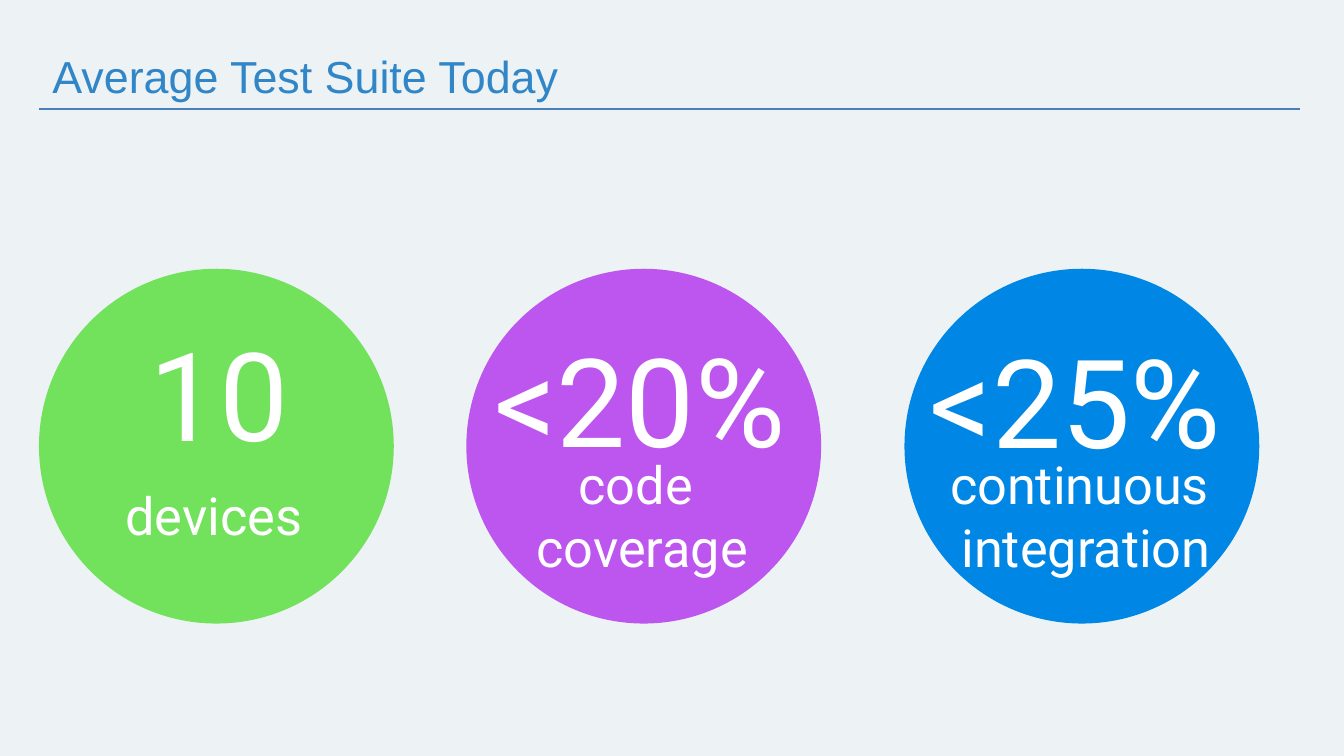
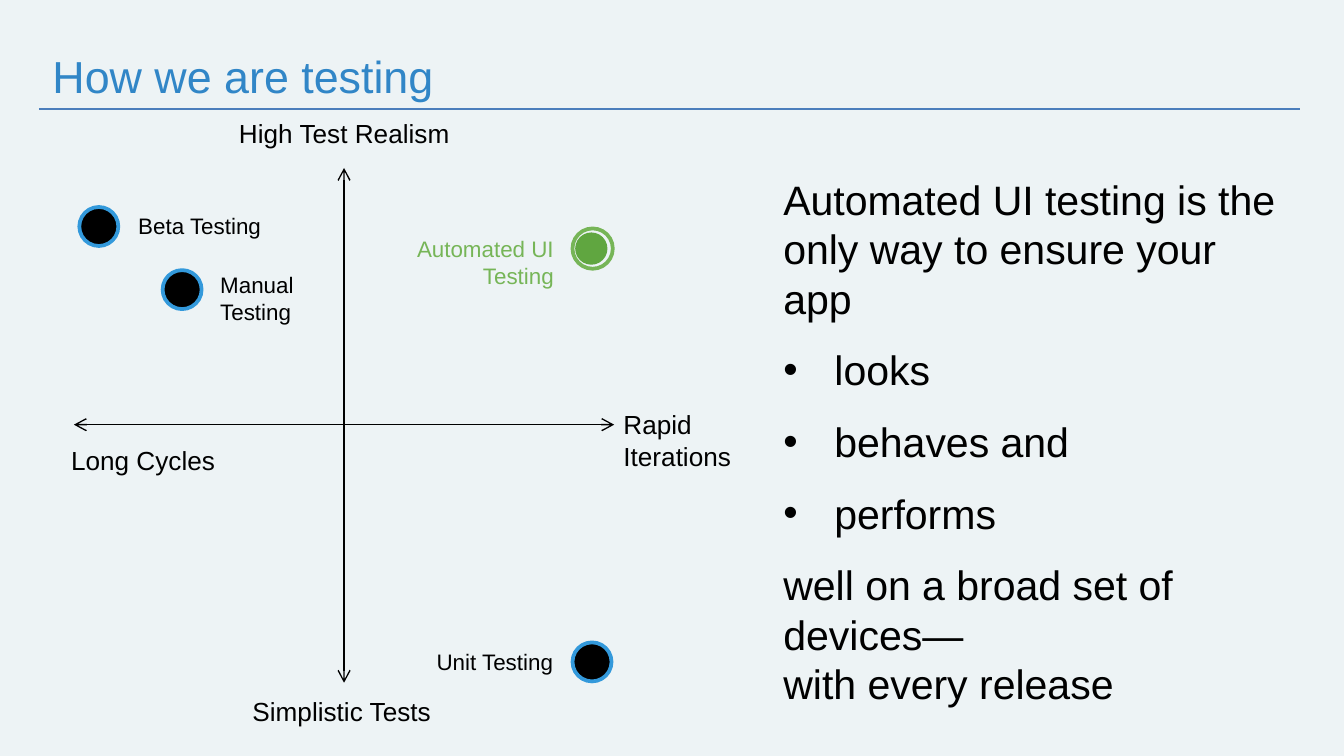
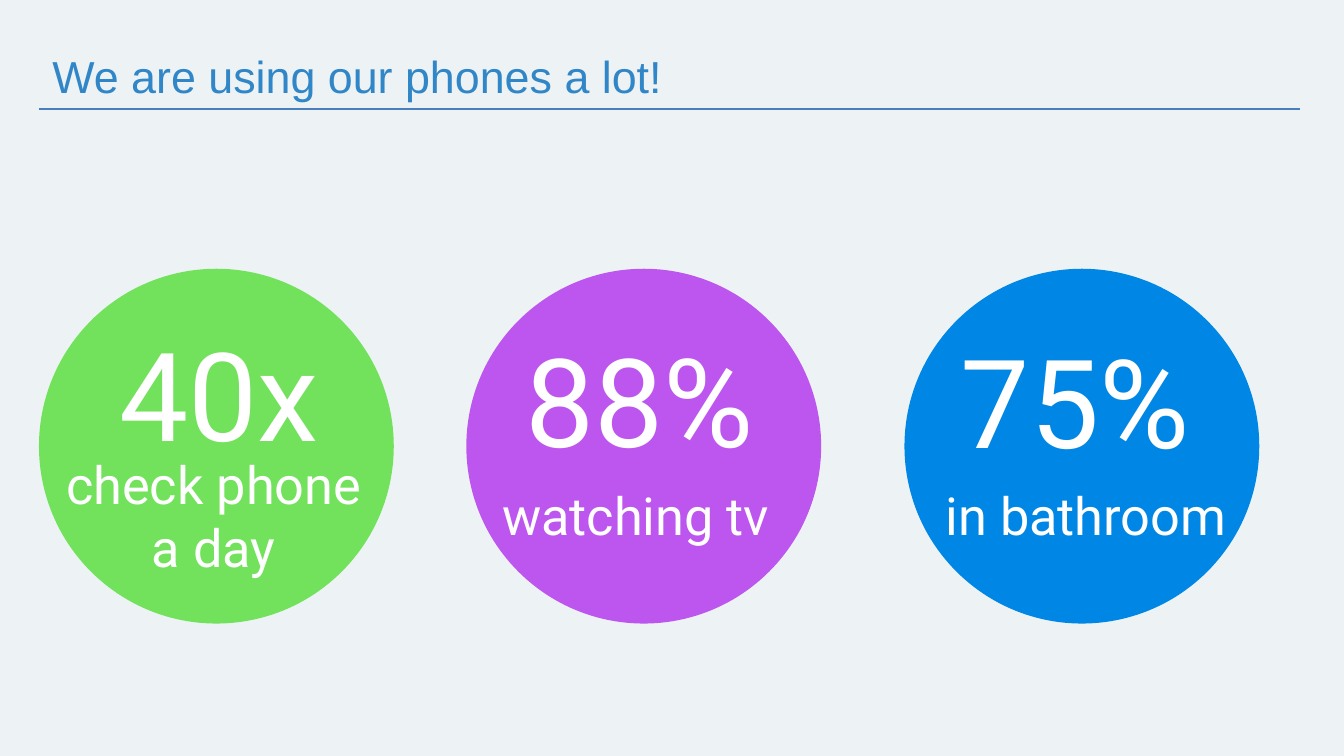
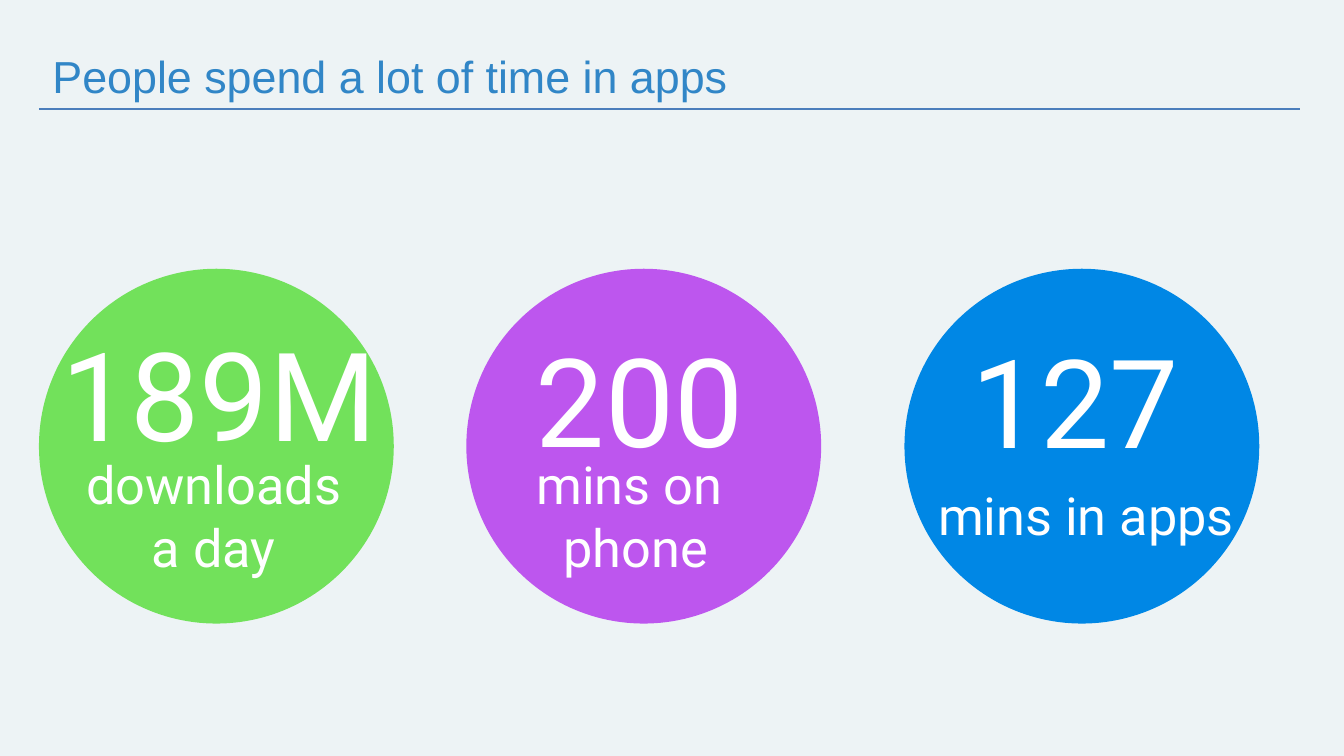
from lxml import etree
from pptx import Presentation
from pptx.dml.color import RGBColor
from pptx.enum.shapes import MSO_CONNECTOR, MSO_SHAPE
from pptx.enum.text import MSO_ANCHOR, PP_ALIGN
from pptx.oxml.ns import qn
from pptx.util import Inches, Pt

OVAL = MSO_SHAPE.OVAL
STRAIGHT = MSO_CONNECTOR.STRAIGHT
LEFT, CENTER, RIGHT = PP_ALIGN.LEFT, PP_ALIGN.CENTER, PP_ALIGN.RIGHT
TOP, MIDDLE, BOTTOM = MSO_ANCHOR.TOP, MSO_ANCHOR.MIDDLE, MSO_ANCHOR.BOTTOM

COLORS = {
    "background": "EDF3F5", "title": "3186C7", "rule": "4B7EBC",
    "text": "000000", "white": "FFFFFF",
    "green": "72E15B", "purple": "BD56EE", "blue": "0087E5",
    "dot_ring": "3399DB", "auto": "76B557", "auto_dot": "60A640",
}
SLIDE_W = 10
SLIDE_H = SLIDE_W * 9 / 16
MARGIN, RULE_Y, RULE_END = 0.29, 0.81, 9.67
SANS, STAT_FONT = "Arial", "Roboto"

CIRCLE_TOP, CIRCLE_SIZE = 2, 2.64
STAT_W, FIGURE_H, CAPTION_MID = 2.9, 1.22, 3.83
CAPTION_H = {1: 0.58, 2: 1.05}
STAT_COLUMNS = [
    {"color": "green", "left": 0.29, "figure": (1.63, 2.31), "caption_x": 1.59},
    {"color": "purple", "left": 3.47, "figure": (4.76, 2.35), "caption_x": 4.73},
    {"color": "blue", "left": 6.73, "figure": (8, 2.36), "caption_x": 8.08},
]

TODAY = ("Average Test Suite Today", [
    ("10", ["devices"]),
    ("<20%", ["code", " coverage"]),
    ("<25%", ["continuous ", "integration"]),
])
PHONES = ("We are using our phones a lot!", [
    ("40x", ["check phone", "a day"]),
    ("88%", ["watching tv"]),
    ("75%", ["in bathroom"]),
])
APPS = ("People spend a lot of time in apps", [
    ("189M", ["downloads", "a day"]),
    ("200", ["mins on ", "phone"]),
    ("127", ["mins in apps"]),
])

TESTING_TITLE = "How we are testing"
AXES = [((0.55, 3.16), (4.57, 3.16)), ((2.56, 1.25), (2.56, 5.08))]
AXIS_LABELS = [
    ("Long Cycles", (0.43, 3.28, 1.59, 0.28)),
    ("Rapid Iterations", (4.54, 3, 1.02, 0.55)),
    ("High Test Realism", (1.68, 0.83, 1.9, 0.32)),
    ("Simplistic Tests", (1.78, 5.15, 1.59, 0.28)),
]
DOT_SIZE = 0.29
METHODS = [
    ("Beta Testing", (0.93, 1.54, 1.59, 0.28), (0.59, 1.54)),
    ("Manual Testing", (1.54, 1.94, 1.22, 0.55), (1.21, 2.01)),
    ("Unit Testing", (3.15, 4.78, 1.1, 0.28), (4.26, 4.78)),
]
AUTO_LABEL = ("Automated UI Testing", (2.49, 1.7, 1.73, 0.63))
AUTO_DOT, AUTO_RING = (4.28, 1.73, 0.24), (4.26, 1.7, 0.3)
CLAIM_BOX = (5.73, 1.25, 3.98, 4.15)
CLAIM_GAP, CLAIM_INDENT = 12, 0.38
CLAIM = [
    ("Automated UI testing is the only way to ensure your app", False, 0),
    ("looks", True, CLAIM_GAP),
    ("behaves and", True, CLAIM_GAP),
    ("performs", True, CLAIM_GAP),
    ("well on a broad set of devices—", False, CLAIM_GAP),
    ("with every release", False, 0),
]


def rgb(name):
    return RGBColor.from_string(COLORS[name])


def add_run(p, text, size, color, font):
    r = p.add_run()
    r.text = text
    r.font.size = Pt(size)
    r.font.name = font
    r.font.color.rgb = rgb(color)


def add_text(s, box, lines, size, color="text", font=SANS, align=LEFT,
             anchor=MIDDLE, inset=None):
    tf = s.shapes.add_textbox(*map(Inches, box)).text_frame
    tf.word_wrap = True
    tf.vertical_anchor = anchor
    if inset is not None:
        tf.margin_left = tf.margin_right = Inches(inset)
        tf.margin_top = tf.margin_bottom = Inches(inset)
    for i, line in enumerate(lines):
        p = tf.add_paragraph() if i else tf.paragraphs[0]
        p.alignment = align
        add_run(p, line, size, color, font)
    return tf


def add_circle(s, left, top, size, fill=None, line=None):
    sp = s.shapes.add_shape(OVAL, *map(Inches, (left, top, size, size)))
    sp.shadow.inherit = False
    if fill:
        sp.fill.solid()
        sp.fill.fore_color.rgb = rgb(fill)
    else:
        sp.fill.background()
    if line:
        sp.line.color.rgb = rgb(line)
        sp.line.width = Pt(2)
    else:
        sp.line.fill.background()


def add_line(s, start, end, color, arrows=False):
    c = s.shapes.add_connector(STRAIGHT, *map(Inches, start + end))
    c.line.color.rgb = rgb(color)
    c.line.width = Pt(0.75)
    if arrows:
        ln = c.line._get_or_add_ln()
        for tag in ("a:headEnd", "a:tailEnd"):
            etree.SubElement(ln, qn(tag), type="arrow")
    etree.SubElement(c._element.spPr, qn("a:effectLst"))


def add_bullet(p):
    pPr = p._p.get_or_add_pPr()
    pPr.set("marL", str(Inches(CLAIM_INDENT)))
    pPr.set("indent", str(-Inches(CLAIM_INDENT)))
    etree.SubElement(pPr, qn("a:buFont"), typeface=SANS)
    etree.SubElement(pPr, qn("a:buChar"), char="•")


def new_slide(prs, title):
    s = prs.slides.add_slide(prs.slide_layouts[5])
    add_line(s, (MARGIN, RULE_Y), (RULE_END, RULE_Y), "rule")
    sp = s.shapes.title
    sp.left, sp.top, sp.width, sp.height = map(Inches, (MARGIN, 0.17, 7.71, 0.64))
    tf = sp.text_frame
    tf.vertical_anchor = BOTTOM
    p = tf.paragraphs[0]
    p.alignment = LEFT
    add_run(p, title, 24, "title", SANS)
    return s


def stat_slide(prs, title, stats):
    s = new_slide(prs, title)
    style = {"color": "white", "font": STAT_FONT, "align": CENTER, "inset": 0.06}
    for column, (figure, caption) in zip(STAT_COLUMNS, stats):
        add_circle(s, column["left"], CIRCLE_TOP, CIRCLE_SIZE, column["color"])
        x, y = column["figure"]
        add_text(s, (x - STAT_W / 2, y, STAT_W, FIGURE_H), [figure], 66, **style)
        h = CAPTION_H[len(caption)]
        add_text(s, (column["caption_x"] - STAT_W / 2, CAPTION_MID - h / 2, STAT_W, h),
                 caption, 28, **style)


def testing_slide(prs):
    s = new_slide(prs, TESTING_TITLE)
    for start, end in AXES:
        add_line(s, start, end, "text", arrows=True)
    for label, box in AXIS_LABELS:
        add_text(s, box, [label], 14)
    for label, box, dot in METHODS:
        add_circle(s, *dot, DOT_SIZE, "text", "dot_ring")
        add_text(s, box, [label], 12)
    add_circle(s, *AUTO_DOT, fill="auto_dot")
    add_circle(s, *AUTO_RING, line="auto")
    label, box = AUTO_LABEL
    add_text(s, box, [label], 12, "auto", align=RIGHT, anchor=TOP)
    tf = add_text(s, CLAIM_BOX, [text for text, _, _ in CLAIM], 22, anchor=TOP)
    for p, (_, bulleted, gap) in zip(tf.paragraphs, CLAIM):
        if gap:
            p.space_before = Pt(gap)
        if bulleted:
            add_bullet(p)


def main():
    prs = Presentation()
    prs.slide_width, prs.slide_height = Inches(SLIDE_W), Inches(SLIDE_H)
    fill = prs.slide_master.background.fill
    fill.solid()
    fill.fore_color.rgb = rgb("background")
    stat_slide(prs, *TODAY)
    testing_slide(prs)
    stat_slide(prs, *PHONES)
    stat_slide(prs, *APPS)
    prs.save("out.pptx")


if __name__ == "__main__":
    main()
